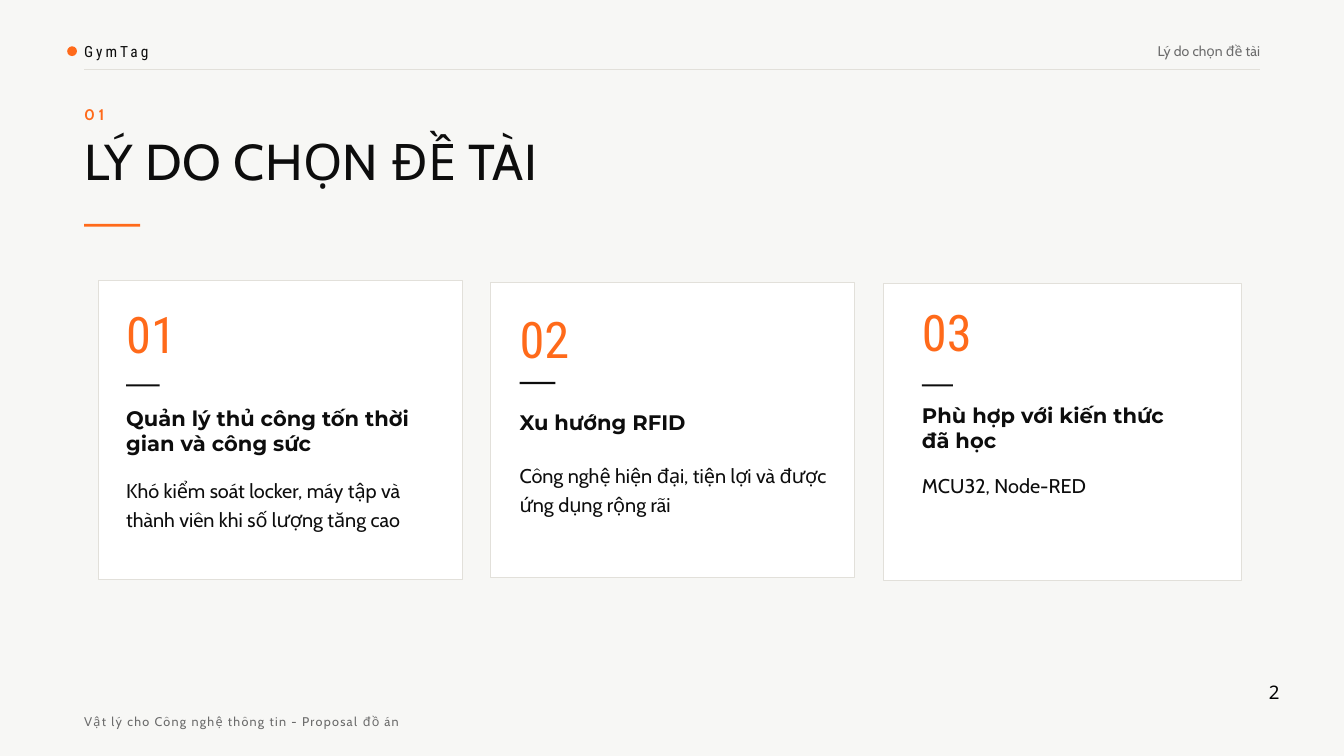
from lxml import etree
from pptx import Presentation
from pptx.dml import color
from pptx.enum import shapes, text
from pptx.oxml import ns
from pptx.util import Cm, Pt

ORANGE, INK, GREY, RULE = "FF6A1A", "0D0D0D", "6B6B6B", "E2E0DA"
WHITE, BLACK, PAPER = "FFFFFF", "000000", "F7F7F5"
LEFT, RIGHT = text.PP_ALIGN.LEFT, text.PP_ALIGN.RIGHT
CENTER = text.PP_ALIGN.CENTER


def style(name, size, leading, fill, spacing=0, bold=False):
    return {
        "font": {"name": name, "size": Pt(size), "bold": bold},
        "leading": Pt(leading), "fill": fill, "spacing": spacing,
    }


STYLES = {
    "brand": style("Roboto Condensed", 16.5, 23.1, INK, 3.3),
    "section": style("Cabin", 15, 21, GREY),
    "kicker": style("Cabin", 16.5, 23.1, ORANGE, 4.1, True),
    "title": style("Cabin", 54, 56.7, INK, 0.5),
    "number": style("Roboto Condensed", 54, 54, ORANGE),
    "heading": style("Montserrat", 22.5, 27, INK, bold=True),
    "body": style("Cabin", 21.3, 30.9, INK),
    "footer": style("Cabin", 13.5, 18.9, GREY, 1.4),
    "page": style("Noto Sans", 20, 28, BLACK),
}

CARDS = [
    {
        "box": (3.71, 10.59, 13.77, 11.3), "inset": 1.06,
        "rule": (3.94, 1.27),
        "texts": [
            ("number", "01", 1.24, 5.28, 2.11),
            ("heading", "Quản lý thủ công tốn thời gian và công sức",
             4.74, 11.63, 1.93),
            ("body", "Khó kiểm soát locker, máy tập và thành viên khi số lượng tăng cao",
             7.31, 11.63, 2.08),
        ],
    },
    {
        "box": (18.52, 10.69, 13.77, 11.12), "inset": 1.12,
        "rule": (3.75, 1.35),
        "texts": [
            ("number", "02", 1.34, 5.59, 2.11),
            ("heading", "Xu hướng RFID", 4.8, 12.32, 0.97),
            ("body", "Công nghệ hiện đại, tiện lợi và được ứng dụng rộng rãi",
             6.65, 12.32, 2.06),
        ],
    },
    {
        "box": (33.4, 10.72, 13.54, 11.21), "inset": 1.45,
        "rule": (3.81, 1.17),
        "texts": [
            ("number", "03", 1.04, 4.88, 2.11),
            ("heading", "Phù hợp với kiến thức đã học", 4.5, 10.24, 1.93),
            ("body", "MCU32, Node-RED", 6.98, 10.72, 0.99),
        ],
    },
]


def rgb(value):
    return color.RGBColor.from_string(value)


def set_all(target, values):
    for name, value in values.items():
        setattr(target, name, value)


def write(shape, words, look, align=LEFT, wrap=True):
    """Put one styled paragraph into a shape without margins."""
    frame = shape.text_frame
    set_all(frame, {
        "margin_left": 0, "margin_top": 0, "margin_right": 0,
        "margin_bottom": 0, "word_wrap": wrap,
        "auto_size": text.MSO_AUTO_SIZE.NONE,
        "vertical_anchor": text.MSO_ANCHOR.TOP,
    })
    paragraph = frame.paragraphs[0]
    set_all(paragraph, {"alignment": align, "line_spacing": look["leading"]})
    run = paragraph.add_run()
    run.text = words
    set_all(run.font, look["font"])
    run.font.color.rgb = rgb(look["fill"])
    if look["spacing"]:
        run._r.get_or_add_rPr().set("spc", str(round(look["spacing"] * 100)))


def add_text(parent, box, words, look, **options):
    shape = parent.add_textbox(*map(Cm, box))
    write(shape, words, STYLES[look], **options)


def add_block(parent, box, fill, outline=None,
              kind=shapes.MSO_SHAPE.RECTANGLE):
    shape = parent.add_shape(kind, *map(Cm, box))
    shape.shadow.inherit = False
    shape.fill.solid()
    shape.fill.fore_color.rgb = rgb(fill)
    if outline:
        shape.line.color.rgb = rgb(outline)
        shape.line.width = Pt(0.75)
    else:
        shape.line.fill.background()


def add_header(slide, left, top, width):
    parent = slide.shapes
    add_block(parent, (left - 0.64, top + 0.28, 0.37, 0.37), ORANGE,
              kind=shapes.MSO_SHAPE.OVAL)
    add_text(parent, (left, top, 15.88, 0.79), "GymTag", "brand")
    add_text(parent, (left + width - 8, top + 0.03, 8, 0.71),
             "Lý do chọn đề tài", "section", align=RIGHT)
    ends = (left, top + 1.17, left + width, top + 1.17)
    line = parent.add_connector(shapes.MSO_CONNECTOR.STRAIGHT, *map(Cm, ends))
    line.line.color.rgb = rgb(RULE)
    line.line.width = Pt(0.75)
    etree.SubElement(line._element.spPr, ns.qn("a:effectLst"))


def add_heading(slide, left, top):
    add_text(slide.shapes, (left, top, 21.16, 0.79), "01", "kicker")
    title = slide.shapes.title
    set_all(title, {
        "left": Cm(left), "top": Cm(top + 1.35),
        "width": Cm(37.03), "height": Cm(2.08),
    })
    write(title, "LÝ DO CHỌN ĐỀ TÀI", STYLES["title"])
    add_block(slide.shapes, (left, top + 4.6, 2.12, 0.11), ORANGE)


def add_card(slide, card):
    parent = slide.shapes.add_group_shape().shapes
    left, top, _, _ = card["box"]
    inner = left + card["inset"]
    add_block(parent, card["box"], WHITE, RULE)
    offset, width = card["rule"]
    add_block(parent, (inner, top + offset, width, 0.08), INK)
    for look, words, offset, width, height in card["texts"]:
        add_text(parent, (inner, top + offset, width, height), words, look)


def add_footer(slide, left, top, width):
    add_text(slide.shapes, (left, top + 1.32, 21.16, 0.64),
             "Vật lý cho Công nghệ thông tin - Proposal đồ án", "footer")
    add_text(slide.shapes, (left + width + 0.32, top, 0.43, 0.56), "2", "page",
             align=CENTER, wrap=False)


def main():
    presentation = Presentation()
    set_all(presentation, {"slide_width": Cm(50.8), "slide_height": Cm(28.58)})
    slide = presentation.slides.add_slide(presentation.slide_layouts[5])
    slide.background.fill.solid()
    slide.background.fill.fore_color.rgb = rgb(PAPER)
    margin, width = 3.18, 44.45
    add_header(slide, margin, 1.47, width)
    add_heading(slide, margin, 3.86)
    for card in CARDS:
        add_card(slide, card)
    add_footer(slide, margin, 25.58, width)
    presentation.save("out.pptx")


if __name__ == "__main__":
    main()
